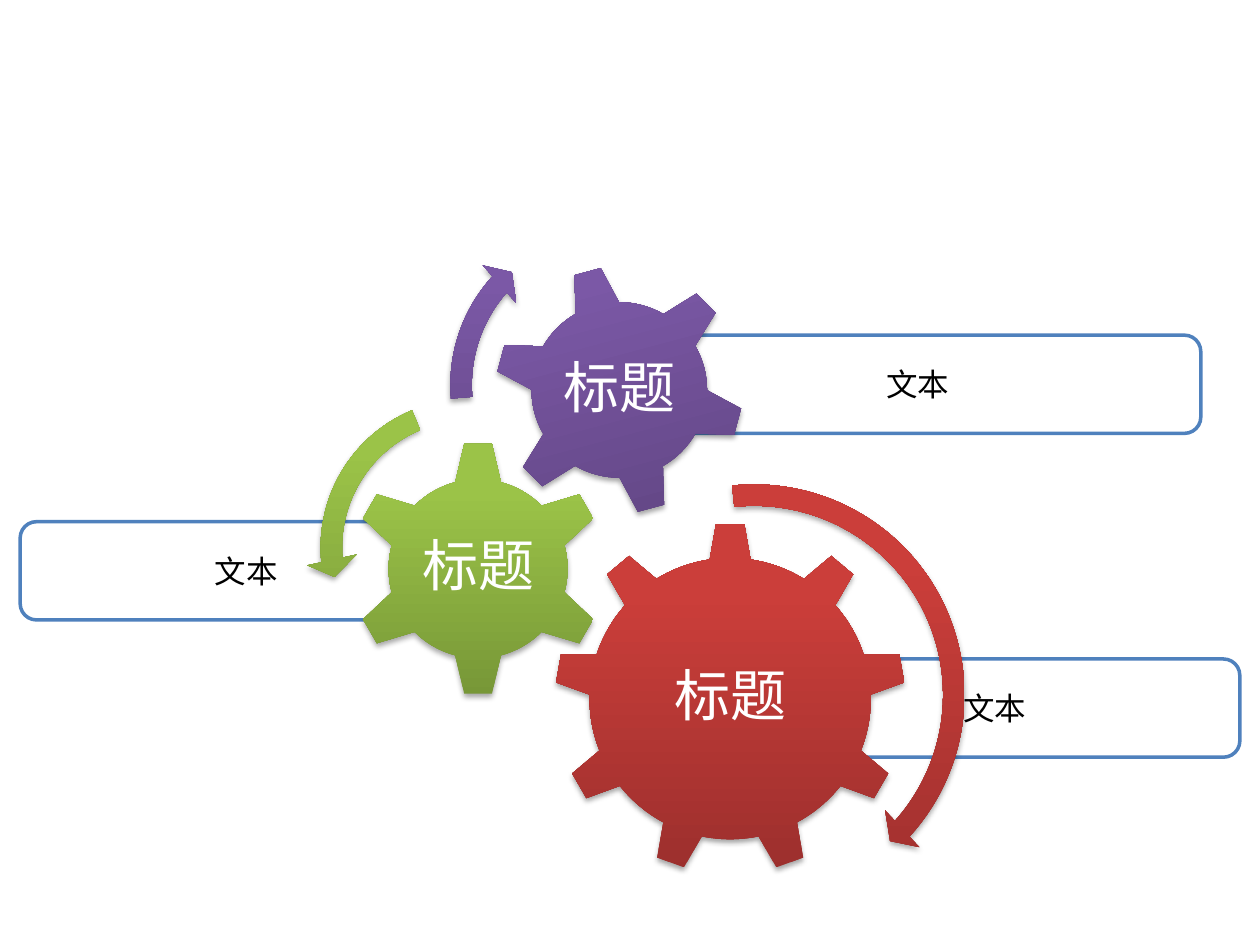
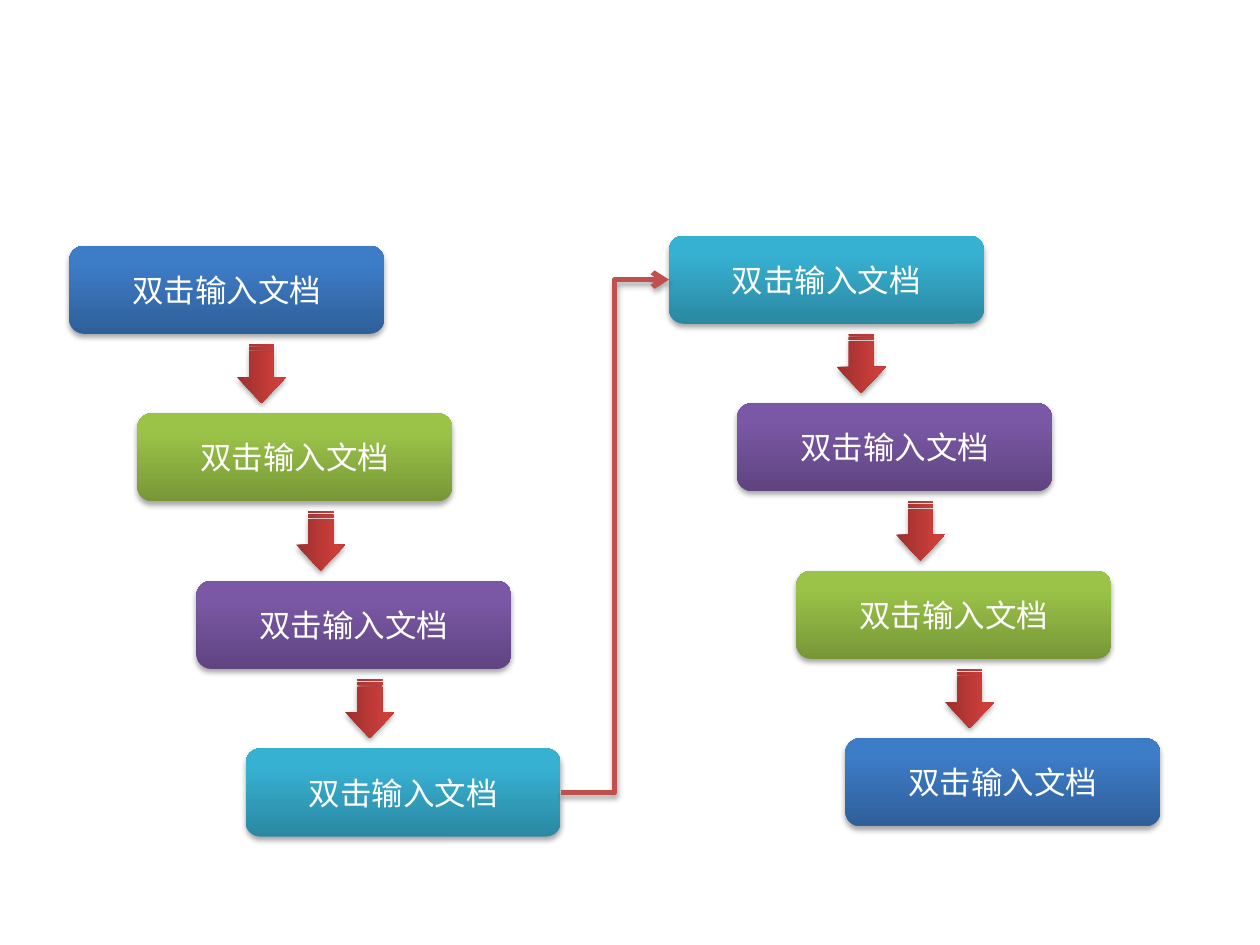
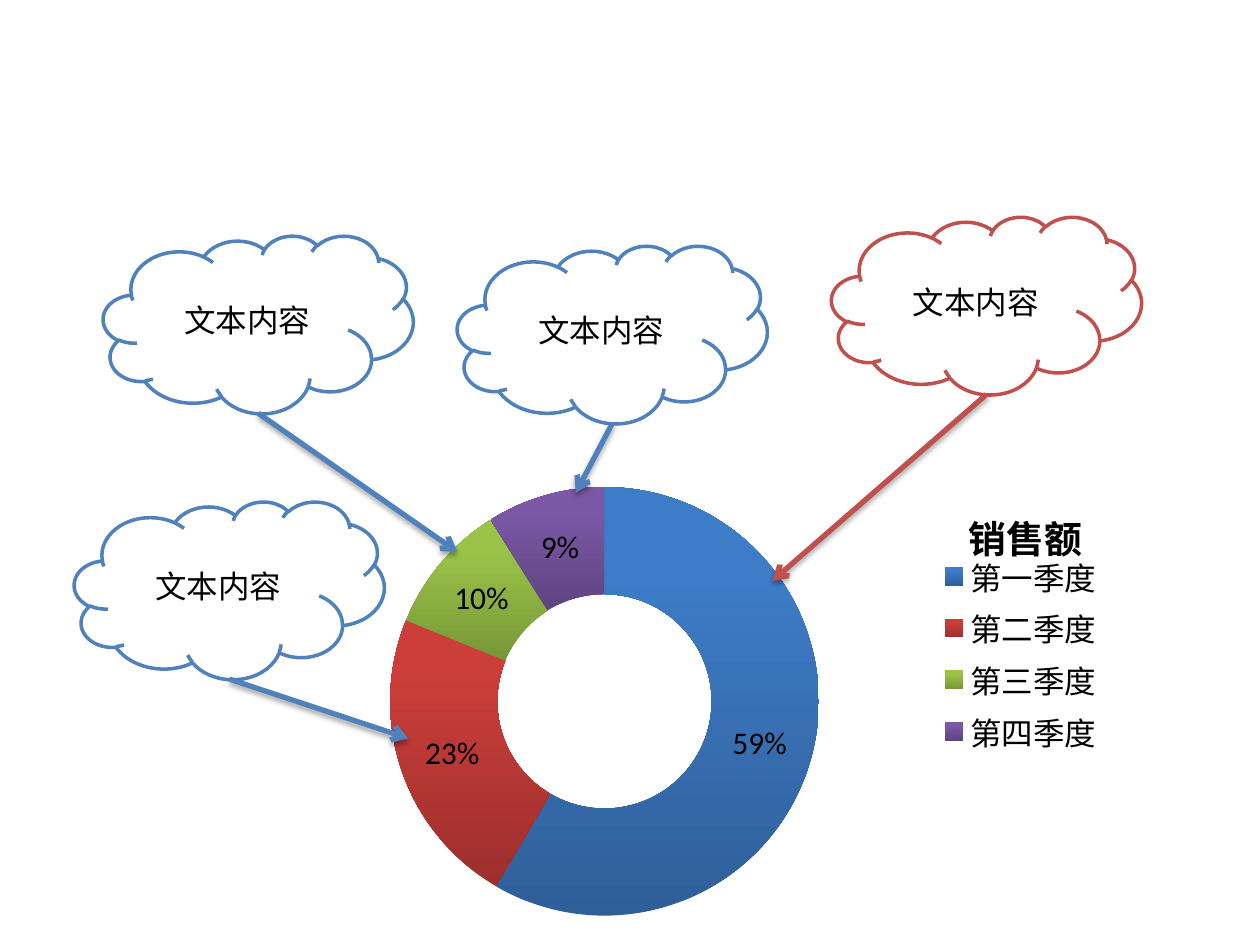
"""Build three diagram slides: linked gears, a stepped process and a quarterly doughnut."""
from lxml import etree
from pptx import Presentation
from pptx.chart.data import CategoryChartData
from pptx.dml.color import RGBColor
from pptx.enum.chart import XL_CHART_TYPE, XL_LEGEND_POSITION
from pptx.enum.shapes import MSO_CONNECTOR, MSO_SHAPE
from pptx.enum.text import MSO_ANCHOR, PP_ALIGN
from pptx.oxml import parse_xml
from pptx.oxml.ns import nsdecls, qn
from pptx.util import Inches, Pt

ROUNDED, CLOUD = MSO_SHAPE.ROUNDED_RECTANGLE, MSO_SHAPE.CLOUD
GEAR_6, GEAR_9 = MSO_SHAPE.GEAR_6, MSO_SHAPE.GEAR_9
TURN_RIGHT, TURN_LEFT = MSO_SHAPE.CIRCULAR_ARROW, MSO_SHAPE.LEFT_CIRCULAR_ARROW
STRIPED = MSO_SHAPE.STRIPED_RIGHT_ARROW
ELBOW, STRAIGHT = MSO_CONNECTOR.ELBOW, MSO_CONNECTOR.STRAIGHT
DOUGHNUT, LEGEND_RIGHT = XL_CHART_TYPE.DOUGHNUT, XL_LEGEND_POSITION.RIGHT
CENTER, MIDDLE = PP_ALIGN.CENTER, MSO_ANCHOR.MIDDLE

FONT = "Calibri"
WHITE = RGBColor(0xFF, 0xFF, 0xFF)
BLACK = RGBColor(0x00, 0x00, 0x00)
BLUE = RGBColor(0x4F, 0x81, 0xBD)
RED = RGBColor(0xC0, 0x50, 0x4D)
BLUE_RAMP = RGBColor(0x2F, 0x5F, 0x99), RGBColor(0x3D, 0x7C, 0xC7)
RED_RAMP = RGBColor(0x9C, 0x2F, 0x2D), RGBColor(0xCB, 0x3E, 0x3A)
GREEN_RAMP = RGBColor(0x77, 0x97, 0x37), RGBColor(0x9B, 0xC3, 0x48)
PURPLE_RAMP = RGBColor(0x5F, 0x44, 0x80), RGBColor(0x7B, 0x58, 0xA6)
TEAL_RAMP = RGBColor(0x2A, 0x88, 0xA2), RGBColor(0x37, 0xB1, 0xD2)
SHADOW = (
    f'<a:effectLst {nsdecls("a")}>'
    '<a:outerShdw blurRad="40000" dist="23000" dir="5400000" rotWithShape="0">'
    '<a:srgbClr val="000000"><a:alpha val="35000"/></a:srgbClr>'
    '</a:outerShdw></a:effectLst>'
)


def shade(fill, ramp):
    fill.gradient()
    fill.gradient_angle = 90
    for stop, color, position in zip(fill.gradient_stops, ramp, (0, 0.8)):
        stop.color.rgb = color
        stop.position = position


def add_part(slide, kind, box, text="", ramp=None, outline=None, color=BLACK, size=18):
    left, top, width, height = (Inches(value) for value in box)
    if kind is None:
        part = slide.shapes.add_textbox(left, top, width, height)
    else:
        part = slide.shapes.add_shape(kind, left, top, width, height)
        if ramp:
            shade(part.fill, ramp)
            part.line.fill.background()
            raised.append(part)
        else:
            part.shadow.inherit = False
            part.fill.solid()
            part.fill.fore_color.rgb = WHITE
            part.line.color.rgb = outline
            part.line.width = Pt(2)
    if text:
        frame = part.text_frame
        frame.word_wrap = True
        frame.vertical_anchor = MIDDLE
        paragraph = frame.paragraphs[0]
        paragraph.text = text
        paragraph.alignment = CENTER
        paragraph.font.name = FONT
        paragraph.font.size = Pt(size)
        paragraph.font.color.rgb = color
    return part


prs = Presentation()
prs.slide_width, prs.slide_height = Inches(10), Inches(7.5)
gears, process, sales = (prs.slides.add_slide(prs.slide_layouts[6]) for _ in range(3))
raised = []
links = []

for left, top, width in ((5.04, 2.66, 4.49), (0.16, 4.14, 3.59), (5.95, 5.23, 3.89)):
    add_part(gears, ROUNDED, (left, top, width, 0.78), "文本", outline=BLUE)

for kind, left, top, side, label_side, rotation, ramp in (
    (GEAR_9, 4.4, 4.15, 2.79, 1.5, 0, RED_RAMP),
    (GEAR_6, 2.78, 3.5, 2.03, 1.1, 0, GREEN_RAMP),
    (GEAR_6, 3.92, 2.1, 1.99, 1.1, 345, PURPLE_RAMP),
):
    add_part(gears, kind, (left, top, side, side), ramp=ramp).rotation = rotation
    inset = (side - label_side) / 2
    label = add_part(gears, None, (left + inset, top + inset, label_side, label_side),
                     "标题", color=WHITE, size=32)
    frame = label.text_frame
    frame.margin_left = frame.margin_right = Inches(0.04)
    frame.margin_top = frame.margin_bottom = Inches(0.04)
    frame.paragraphs[0].line_spacing = 0.9

BAND, HEAD = 0.17, 0.2
for kind, left, top, side, head_angle, end, start, ramp in (
    (TURN_RIGHT, 4.2, 3.73, 3.57, 2.99, 25.26, 158.41, RED_RAMP),
    (TURN_LEFT, 2.43, 3.05, 2.59, 4.3, 104.89, 148.38, GREEN_RAMP),
    (TURN_RIGHT, 3.46, 1.66, 2.79, 3.94, 133.14, 105.08, PURPLE_RAMP),
):
    turn = add_part(gears, kind, (left, top, side, side), ramp=ramp)
    for index, value in enumerate((BAND / side, head_angle, end, start, HEAD / side)):
        turn.adjustments[index] = value

STEP_PITCH = 1.33
STEP_SHIFTS = 0, 0.54, 1.01, 1.4
STEP_RAMPS = BLUE_RAMP, GREEN_RAMP, PURPLE_RAMP, TEAL_RAMP
steps = []
for left, top, ramps in ((0.55, 1.95, STEP_RAMPS), (5.31, 1.87, STEP_RAMPS[::-1])):
    for row, (shift, ramp) in enumerate(zip(STEP_SHIFTS, ramps)):
        x, y = left + shift, top + row * STEP_PITCH
        steps.append(add_part(process, ROUNDED, (x, y, 2.5, 0.7), "双击输入文档",
                              ramp=ramp, color=WHITE))
        if row:
            arrow = add_part(process, STRIPED, (x + 0.75, y - 0.51, 0.47, 0.39), ramp=RED_RAMP)
            arrow.rotation = 90
            arrow.adjustments[1] = 0.53
bridge = process.shapes.add_connector(ELBOW, 0, 0, 0, 0)
bridge.begin_connect(steps[3], 3)
bridge.end_connect(steps[4], 1)
links.append((bridge, RED))

quarters = CategoryChartData()
quarters.categories = "第一季度", "第二季度", "第三季度", "第四季度"
quarters.add_series("销售额", (59, 23, 10, 9))
chart = sales.shapes.add_chart(
    DOUGHNUT, Inches(2.23), Inches(2.97), Inches(6.67), Inches(4.44), quarters).chart
chart.font.name, chart.font.size = FONT, Pt(18)
chart.font.color.rgb = BLACK
chart.has_title = True
heading = chart.chart_title.text_frame.paragraphs[0]
heading.text = "销售额"
heading.font.name, heading.font.size, heading.font.bold = FONT, Pt(21.6), True
heading.font.color.rgb = BLACK
chart.has_legend = True
chart.legend.position = LEGEND_RIGHT
chart.legend.include_in_layout = False
ring = chart.plots[0]
ring.vary_by_categories = True
ring.has_data_labels = True
ring.data_labels.show_value = True
ring.data_labels.show_percentage = False
ring.data_labels.number_format = '0"%"'
ring.data_labels.number_format_is_linked = False
for index, ramp in enumerate((BLUE_RAMP, RED_RAMP, GREEN_RAMP, PURPLE_RAMP)):
    shade(ring.series[0].points[index].format.fill, ramp)

for tag, place in (
    ("c:title", {"x": 0.81, "y": 0.22}),
    ("c:plotArea", {"x": 0.13, "y": 0.2, "w": 0.51, "h": 0.77}),
    ("c:legend", {"x": 0.78, "y": 0.31, "w": 0.2, "h": 0.38}),
):
    area = chart.element.find(".//" + qn(tag))
    for old_layout in area.findall(qn("c:layout")):
        area.remove(old_layout)
    layout = etree.Element(qn("c:layout"))
    manual = etree.SubElement(layout, qn("c:manualLayout"))
    if tag == "c:plotArea":
        area.insert(0, layout)
        etree.SubElement(manual, qn("c:layoutTarget"), val="inner")
    else:
        area.find(qn("c:overlay")).addprevious(layout)
    for side in "xy":
        etree.SubElement(manual, qn(f"c:{side}Mode"), val="edge")
    for side, share in place.items():
        etree.SubElement(manual, qn(f"c:{side}"), val=str(share))

CLOUD_WIDTH, CLOUD_HEIGHT = 2.46, 1.41
for left, top, target_x, target_y, color in (
    (0.82, 1.87, 3.63, 4.38, BLUE),
    (0.59, 3.98, 3.24, 5.86, BLUE),
    (3.63, 1.95, 4.57, 3.91, BLUE),
    (6.6, 1.72, 6.13, 4.61, RED),
):
    add_part(sales, CLOUD, (left, top, CLOUD_WIDTH, CLOUD_HEIGHT), "文本内容", outline=color)
    pointer = sales.shapes.add_connector(
        STRAIGHT, Inches(left + CLOUD_WIDTH / 2), Inches(top + CLOUD_HEIGHT),
        Inches(target_x), Inches(target_y))
    links.append((pointer, color))

for link, color in links:
    link.line.color.rgb = color
    link.line.width = Pt(3)
    etree.SubElement(link.element.spPr.find(qn("a:ln")), qn("a:tailEnd"), type="arrow")
    raised.append(link)

for part in raised:
    part.element.spPr.append(parse_xml(SHADOW))

prs.save("out.pptx")
